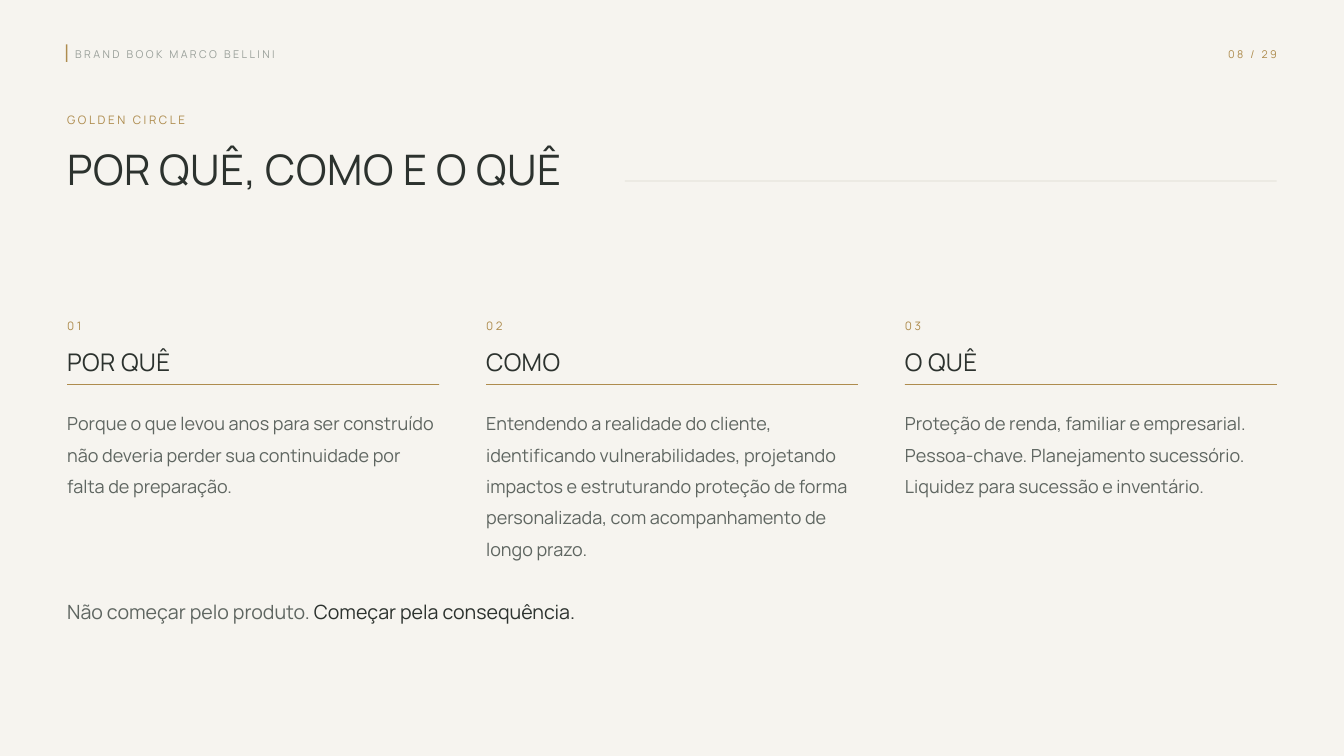
from pptx import Presentation
from pptx.dml.color import RGBColor
from pptx.enum.shapes import MSO_SHAPE
from pptx.enum.text import MSO_ANCHOR, MSO_AUTO_SIZE, PP_ALIGN
from pptx.util import Pt

RECTANGLE = MSO_SHAPE.RECTANGLE
TOP = MSO_ANCHOR.TOP
GROW = MSO_AUTO_SIZE.SHAPE_TO_FIT_TEXT
LEFT, RIGHT = PP_ALIGN.LEFT, PP_ALIGN.RIGHT

FONT = "Manrope"
PAPER, INK, BODY = "F6F4EF", "2C322E", "5F6661"
GOLD, GREY, HAIRLINE = "AE8C4E", "9AA09A", "DCD8CE"

BRAND = "BRAND BOOK MARCO BELLINI"
PAGE = "08 / 29"
SECTION = "GOLDEN CIRCLE"
TITLE = "POR QUÊ, COMO E O QUÊ"
COLUMNS = [
    ("01", "POR QUÊ",
     "Porque o que levou anos para ser construído não deveria perder sua "
     "continuidade por falta de preparação."),
    ("02", "COMO",
     "Entendendo a realidade do cliente, identificando vulnerabilidades, "
     "projetando impactos e estruturando proteção de forma personalizada, "
     "com acompanhamento de longo prazo."),
    ("03", "O QUÊ",
     "Proteção de renda, familiar e empresarial. Pessoa-chave. Planejamento "
     "sucessório. Liquidez para sucessão e inventário."),
]
CLOSING = [("Não começar pelo produto. ", BODY),
           ("Começar pela consequência.", INK)]

WIDTH, HEIGHT, MARGIN = 1440, 810, 72
CONTENT_WIDTH = WIDTH - 2 * MARGIN
COLUMN_GAP = 50.4
COLUMN_WIDTH = (CONTENT_WIDTH - COLUMN_GAP * (len(COLUMNS) - 1)) / len(COLUMNS)
RULE = 0.9

HEADER = dict(size=11.5, tracking=2.6, line_spacing=Pt(16.1))
LABEL = dict(size=12.5, tracking=2.8, line_spacing=Pt(17.5), color=GOLD)


def rgb(value):
    return RGBColor.from_string(value)


def place(shape, left, top, width, height):
    shape.left, shape.top = Pt(left), Pt(top)
    shape.width, shape.height = Pt(width), Pt(height)


def add_text(slide, text, box, *, size, color=INK, tracking=0,
             line_spacing=1.45, align=LEFT, shape=None):
    """Write a string, or a list of (text, colour) runs, into a box or a given shape."""
    if shape is None:
        shape = slide.shapes.add_textbox(0, 0, 0, 0)
    frame = shape.text_frame
    frame.word_wrap = True
    frame.auto_size = GROW
    frame.vertical_anchor = TOP
    frame.margin_left = frame.margin_right = 0
    frame.margin_top = frame.margin_bottom = 0
    place(shape, *box)

    paragraph = frame.paragraphs[0]
    paragraph.alignment = align
    paragraph.line_spacing = line_spacing
    paragraph.space_before = Pt(0)
    runs = [(text, color)] if isinstance(text, str) else text
    for run_text, run_color in runs:
        run = paragraph.add_run()
        run.text = run_text
        run.font.name = FONT
        run.font.size = Pt(size)
        run.font.color.rgb = rgb(run_color)
        if tracking:
            run.font._element.set("spc", str(round(tracking * 100)))


def add_bar(slide, left, top, width, height, color):
    bar = slide.shapes.add_shape(RECTANGLE, 0, 0, 0, 0)
    place(bar, left, top, width, height)
    bar.shadow.inherit = False
    bar.fill.solid()
    bar.fill.fore_color.rgb = rgb(color)
    bar.line.fill.background()


def add_header(slide):
    add_bar(slide, 70.6, 47.5, 1.5, 18.7, GOLD)
    add_text(slide, BRAND, (80.6, 49, 648, 21.6), color=GREY, **HEADER)
    add_text(slide, PAGE, (WIDTH - MARGIN - 288, 49, 288, 21.6),
             color=GOLD, align=RIGHT, **HEADER)
    add_text(slide, SECTION, (MARGIN, 118, 504, 21.6), **LABEL)
    add_text(slide, TITLE, (MARGIN, 155.5, 662.4, 72), size=45, tracking=0.6,
             line_spacing=Pt(52.2), shape=slide.shapes.title)
    rule_left = 669.6
    add_bar(slide, rule_left, 193.5, WIDTH - MARGIN - rule_left, RULE, HAIRLINE)


def add_column(slide, left, number, heading, description):
    add_text(slide, number, (left, 339, COLUMN_WIDTH, 21.6), **LABEL)
    add_text(slide, heading, (left, 368, COLUMN_WIDTH, 44.6),
             size=26, tracking=0.4, line_spacing=1.14)
    add_bar(slide, left, 411.6, COLUMN_WIDTH, RULE, GOLD)
    add_text(slide, description, (left, 432, COLUMN_WIDTH, 88.6),
             size=19.3, color=BODY)


def main():
    presentation = Presentation()
    presentation.slide_width, presentation.slide_height = Pt(WIDTH), Pt(HEIGHT)
    slide = presentation.slides.add_slide(presentation.slide_layouts[5])
    slide.background.fill.solid()
    slide.background.fill.fore_color.rgb = rgb(PAPER)

    add_header(slide)
    for index, column in enumerate(COLUMNS):
        add_column(slide, MARGIN + index * (COLUMN_WIDTH + COLUMN_GAP), *column)
    add_text(slide, CLOSING, (MARGIN, 631.5, 959, 34.6), size=21)

    presentation.save("out.pptx")


if __name__ == "__main__":
    main()
